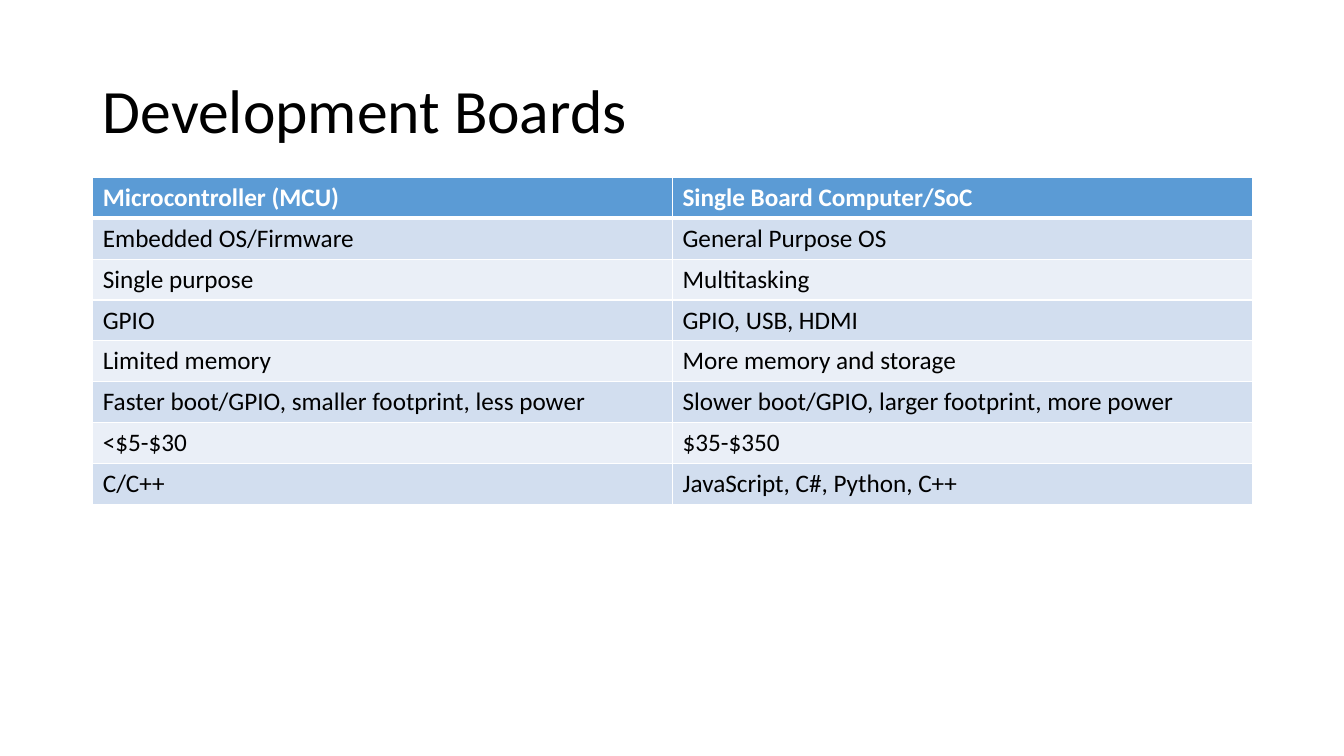
from dataclasses import dataclass

from lxml import etree
from pptx import Presentation
from pptx.dml.color import RGBColor
from pptx.enum.text import MSO_ANCHOR, PP_ALIGN
from pptx.oxml.ns import qn
from pptx.util import Inches, Pt

LEFT = PP_ALIGN.LEFT
MIDDLE = MSO_ANCHOR.MIDDLE
TITLE_ONLY = 5


@dataclass
class Theme:
    font: str = "Calibri"
    title_size: int = 44
    table_size: int = 18
    text: str = "000000"
    white: str = "FFFFFF"
    header: str = "5B9BD5"
    bands: tuple = ("EAEFF7", "D2DEEF")


theme = Theme()


def format_run(run, size, color, bold=False):
    run.font.name = theme.font
    run.font.size = Pt(size)
    run.font.bold = bold
    run.font.color.rgb = RGBColor.from_string(color)


def add_border(cell, side, width):
    line = etree.SubElement(cell._tc.get_or_add_tcPr(), qn(f"a:ln{side}"), w=str(Pt(width)))
    fill = etree.SubElement(line, qn("a:solidFill"))
    etree.SubElement(fill, qn("a:srgbClr"), val=theme.white)


presentation = Presentation()
presentation.slide_width = Inches(13.33)
presentation.slide_height = Inches(7.5)
slide = presentation.slides.add_slide(presentation.slide_layouts[TITLE_ONLY])

margin = Inches(0.92)
content_width = Inches(11.5)

title = slide.shapes.title
title.left, title.top = margin, Inches(0.4)
title.width, title.height = content_width, Inches(1.45)
title.text_frame.text = "Development Boards"
title.text_frame.vertical_anchor = MIDDLE
title_paragraph = title.text_frame.paragraphs[0]
title_paragraph.alignment = LEFT
title_paragraph.line_spacing = 0.9
format_run(title_paragraph.runs[0], theme.title_size, theme.text)

comparison = [
    ("Microcontroller (MCU)", "Single Board Computer/SoC"),
    ("Embedded OS/Firmware", "General Purpose OS"),
    ("Single purpose", "Multitasking"),
    ("GPIO", "GPIO, USB, HDMI"),
    ("Limited memory", "More memory and storage"),
    ("Faster boot/GPIO, smaller footprint, less power",
     "Slower boot/GPIO, larger footprint, more power"),
    ("<$5-$30", "$35-$350"),
    ("C/C++", "JavaScript, C#, Python, C++"),
]
row_count, column_count = len(comparison), len(comparison[0])
table = slide.shapes.add_table(
    row_count, column_count, margin, Inches(1.76), content_width, Inches(3.24)
).table

for row_index, row_texts in enumerate(comparison):
    is_header = row_index == 0
    fill_color = theme.header if is_header else theme.bands[row_index % 2]
    text_color = theme.white if is_header else theme.text
    border_widths = {
        "L": 1,
        "R": 1,
        "T": 3 if row_index == 1 else 1,
        "B": 3 if is_header else 1,
    }
    for column_index, text in enumerate(row_texts):
        cell = table.cell(row_index, column_index)
        cell.text_frame.text = text
        format_run(cell.text_frame.paragraphs[0].runs[0], theme.table_size, text_color, is_header)
        for side, width in border_widths.items():
            add_border(cell, side, width)
        cell.fill.solid()
        cell.fill.fore_color.rgb = RGBColor.from_string(fill_color)

presentation.save("out.pptx")
